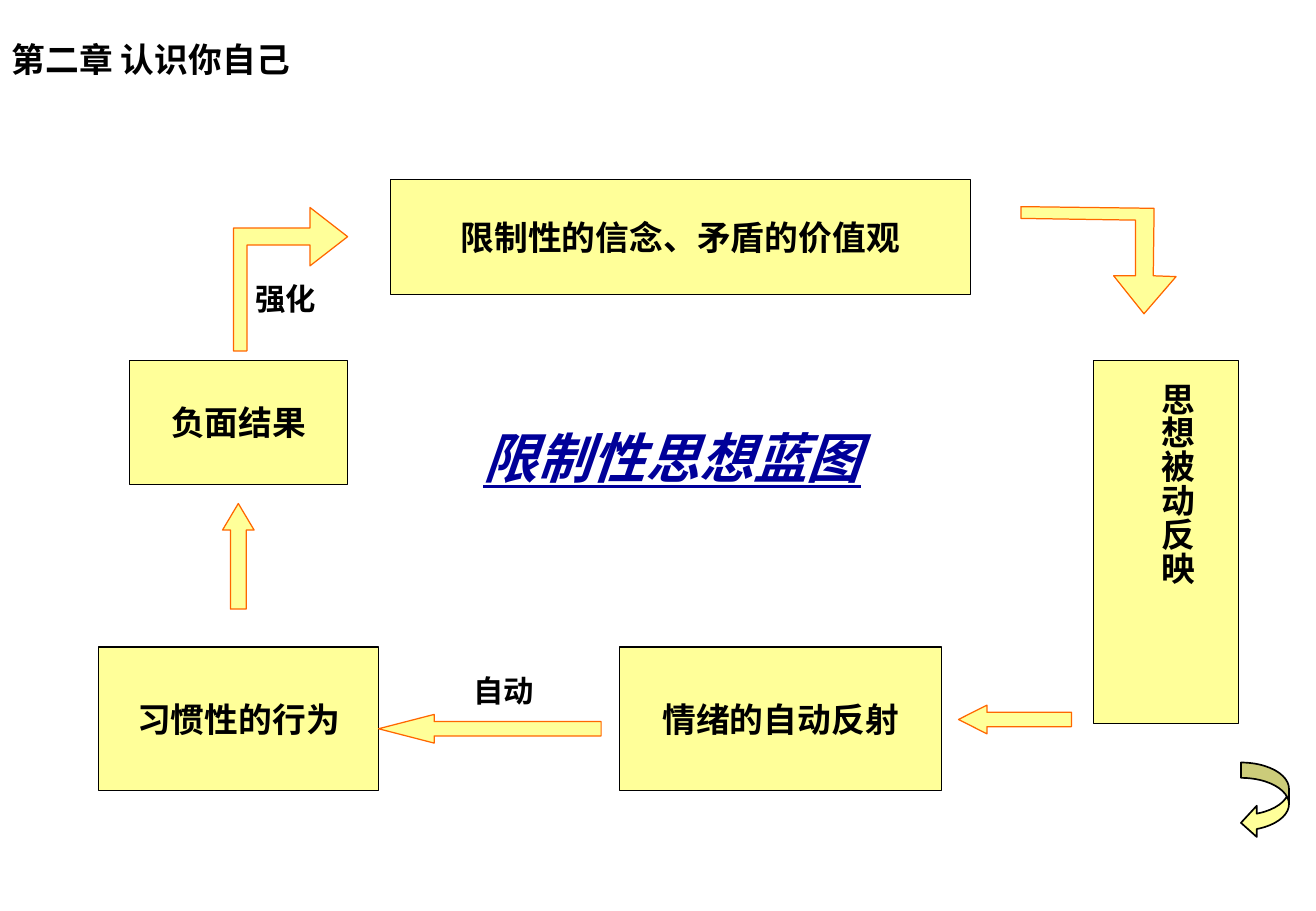
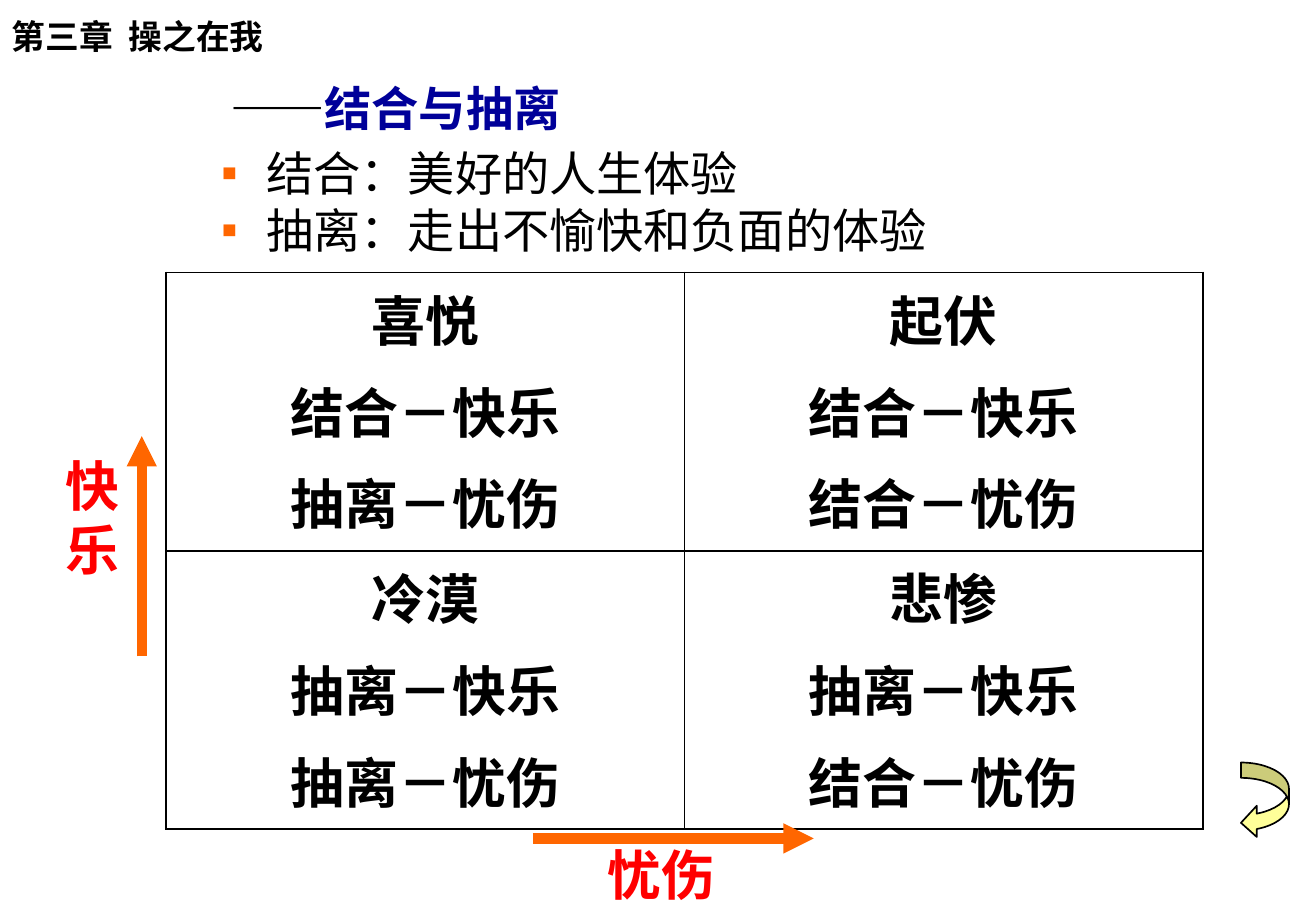
from lxml.etree import SubElement
from pptx import Presentation
from pptx.dml.color import RGBColor as RGB
from pptx.enum.shapes import MSO_CONNECTOR as LINE, MSO_SHAPE as SHAPE
from pptx.enum.text import MSO_ANCHOR as ANCHOR, MSO_AUTO_SIZE as FIT, PP_ALIGN as ALIGN
from pptx.oxml.ns import qn
from pptx.util import Pt

COLORS = {
    "ink": "000000",
    "navy": "000099",
    "box": "FFFF99",
    "orange": "FF6600",
    "red": "FF0000",
}
LATIN, CJK = "Arial", "Noto Sans CJK SC"


def rgb(name):
    return RGB.from_string(COLORS[name])


def add_run(p, text, size, color="ink", bold=True, font=LATIN):
    r = p.add_run()
    r.text = text
    f = r.font
    f.size, f.bold, f.name = Pt(size), bold, font
    f.color.rgb = rgb(color)
    SubElement(f._element, qn("a:ea")).set("typeface", CJK)
    return r


def add_text(s, box, runs, align=ALIGN.LEFT, anchor=ANCHOR.TOP, wrap=True, font=LATIN):
    tf = s.shapes.add_textbox(*map(Pt, box)).text_frame
    tf.word_wrap, tf.vertical_anchor = wrap, anchor
    tf.auto_size = FIT.NONE
    p = tf.paragraphs[0]
    p.alignment = align
    for text, size, color in runs:
        add_run(p, text, size, color, font=font)
    return tf


def paint(sp, line="ink", width=0.75):
    sp.shadow.inherit = False
    sp.fill.solid()
    sp.fill.fore_color.rgb = rgb("box")
    sp.line.color.rgb = rgb(line)
    sp.line.width = Pt(width)
    return sp


def add_preset(s, kind, box, adj=(), line="ink", width=0.75):
    sp = s.shapes.add_shape(kind, *map(Pt, box))
    for i, value in enumerate(adj):
        sp.adjustments[i] = value
    return paint(sp, line, width)


def add_outline(s, x, y, points):
    (x0, y0), *rest = [(Pt(a), Pt(b)) for a, b in points]
    builder = s.shapes.build_freeform(x0, y0, scale=1.0)
    builder.add_line_segments(rest, close=True)
    return paint(builder.convert_to_shape(Pt(x), Pt(y)), "orange")


def add_axis(s, x1, y1, x2, y2):
    c = s.shapes.add_connector(LINE.STRAIGHT, *map(Pt, (x1, y1, x2, y2)))
    c.line.color.rgb = rgb("orange")
    c.line.width = Pt(6)
    SubElement(c.line._get_or_add_ln(), qn("a:tailEnd")).set("type", "triangle")
    SubElement(c._element.spPr, qn("a:effectLst"))


def add_chapter_slide(prs, title, box):
    s = prs.slides.add_slide(prs.slide_layouts[6])
    add_text(s, box, [(title, 20, "ink")], anchor=ANCHOR.MIDDLE, font=CJK)
    add_preset(s, SHAPE.CURVED_LEFT_ARROW, (736, 452, 28.5, 45),
               (0.32, 0.65, 0.33), width=1)
    return s


def belief_cycle(s, x, y):
    steps = [
        ("限制性的信念、矛盾的价值观", 173, 0, 344, 68),
        ("负面结果", 18.5, 107, 129, 73.5),
        ("习惯性的行为", 0, 277, 166, 85),
        ("情绪的自动反射", 309, 277, 191, 85),
        ("", 590, 107, 86, 215.5),
    ]
    for text, dx, dy, w, h in steps:
        sp = add_preset(s, SHAPE.RECTANGLE, (x + dx, y + dy, w, h))
        if text:
            tf = sp.text_frame
            tf.word_wrap, tf.vertical_anchor = False, ANCHOR.MIDDLE
            p = tf.paragraphs[0]
            p.alignment = ALIGN.CENTER
            add_run(p, text, 20)

    tf = add_text(s, (x + 617, y + 113, 38, 207), [("思想被动反映", 20, "ink")], ALIGN.CENTER)
    tf.margin_left = tf.margin_right = Pt(3.6)
    tf.margin_top = tf.margin_bottom = Pt(7.2)
    tf._txBody.bodyPr.set("vert", "eaVert")

    tf = add_text(s, (x + 221, y + 141.5, 277, 46), [("限制性思想蓝图", 32, "navy")])
    font = tf.paragraphs[0].runs[0].font
    font.italic = font.underline = True

    for text, dx, dy in [("自动", 215, 288.5), ("强化", 86, 56)]:
        add_text(s, (x + dx, y + dy, 60, 29), [(text, 18, "ink")])

    arrows = [
        (SHAPE.LEFT_ARROW, 166, 317, 132, 17, 1.94),
        (SHAPE.LEFT_ARROW, 510, 311.5, 67, 17, 0.99),
        (SHAPE.UP_ARROW, 73.5, 192, 18.7, 62.6, 0.84),
    ]
    for kind, dx, dy, w, h, head in arrows:
        add_preset(s, kind, (x + dx, y + dy, w, h), (0.5, head), "orange")

    add_outline(s, x + 80, y + 16.5, [
        (0, 85), (0, 12.2), (45.4, 12.2), (45.4, 0), (67.7, 17.3),
        (45.4, 34.6), (45.4, 22.3), (8, 22.3), (8, 85)])
    add_outline(s, x + 547, y + 16, [
        (0, 0), (79, 1), (78.5, 41), (92, 41.5), (73, 63.5),
        (55, 41), (68, 41), (68, 8), (0, 7)])


def bullet_list(s, box, lines):
    tf = s.shapes.add_textbox(*map(Pt, box)).text_frame
    tf.word_wrap = True
    tf.auto_size = FIT.NONE
    for i, text in enumerate(lines):
        p = tf.add_paragraph() if i else tf.paragraphs[0]
        pPr = p._p.get_or_add_pPr()
        pPr.set("marL", str(Pt(27)))
        pPr.set("indent", str(Pt(-27)))
        clr = SubElement(pPr, qn("a:buClr"))
        SubElement(clr, qn("a:srgbClr")).set("val", COLORS["orange"])
        SubElement(pPr, qn("a:buFont")).set("typeface", LATIN)
        SubElement(pPr, qn("a:buChar")).set("char", "▪")
        p.line_spacing = 0.8
        if i:
            p.space_before = Pt(7)
        add_run(p, text, 28, bold=False)


def set_borders(cell):
    tcPr = cell._tc.get_or_add_tcPr()
    for side in ("lnL", "lnR", "lnT", "lnB"):
        ln = SubElement(tcPr, qn("a:" + side))
        ln.set("w", str(Pt(1.08)))
        fill = SubElement(ln, qn("a:solidFill"))
        SubElement(fill, qn("a:srgbClr")).set("val", COLORS["ink"])


def mood_matrix(s, x, y, w, h):
    moods = [
        [("喜悦", "结合－快乐", "抽离－忧伤"), ("起伏", "结合－快乐", "结合－忧伤")],
        [("冷漠", "抽离－快乐", "抽离－忧伤"), ("悲惨", "抽离－快乐", "结合－忧伤")],
    ]
    table = s.shapes.add_table(2, 2, *map(Pt, (x, y, w, h))).table
    table.first_row = table.horz_banding = False
    for i, row in enumerate(moods):
        for j, lines in enumerate(row):
            cell = table.cell(i, j)
            set_borders(cell)
            cell.fill.background()
            tf = cell.text_frame
            for k, text in enumerate(lines):
                p = tf.add_paragraph() if k else tf.paragraphs[0]
                p.alignment = ALIGN.CENTER
                if k:
                    p.space_before = Pt(8)
                add_run(p, text, 32, font=CJK)

    add_text(s, (x - 67, y + 103, 46, 84), [("快乐", 32, "red")])
    add_axis(s, x - 14.5, y + 227.5, x - 14.5, y + 97)
    add_text(s, (x + 254.5, y + h + 3.5, 92, 46), [("忧伤", 32, "red")])
    add_axis(s, x + 217.5, y + h + 5.5, x + 384, y + h + 5.5)


def main():
    prs = Presentation()
    prs.slide_width, prs.slide_height = Pt(780.48), Pt(540)
    prs.element.sldSz.attrib.pop("type", None)

    s = add_chapter_slide(prs, "第二章 认识你自己", (0, 6.5, 386, 57))
    belief_cycle(s, 58.5, 106.5)

    s = add_chapter_slide(prs, "第三章  操之在我", (0, 0, 590, 43))
    add_text(s, (129.5, 43.5, 210, 41), [("——", 28, "ink"), ("结合与抽离", 28, "navy")],
             ALIGN.CENTER, wrap=False)
    bullet_list(s, (124, 88.5, 583, 70), ["结合：美好的人生体验", "抽离：走出不愉快和负面的体验"])
    mood_matrix(s, 98.6, 161.5, 615, 330)

    prs.save("out.pptx")


if __name__ == "__main__":
    main()
